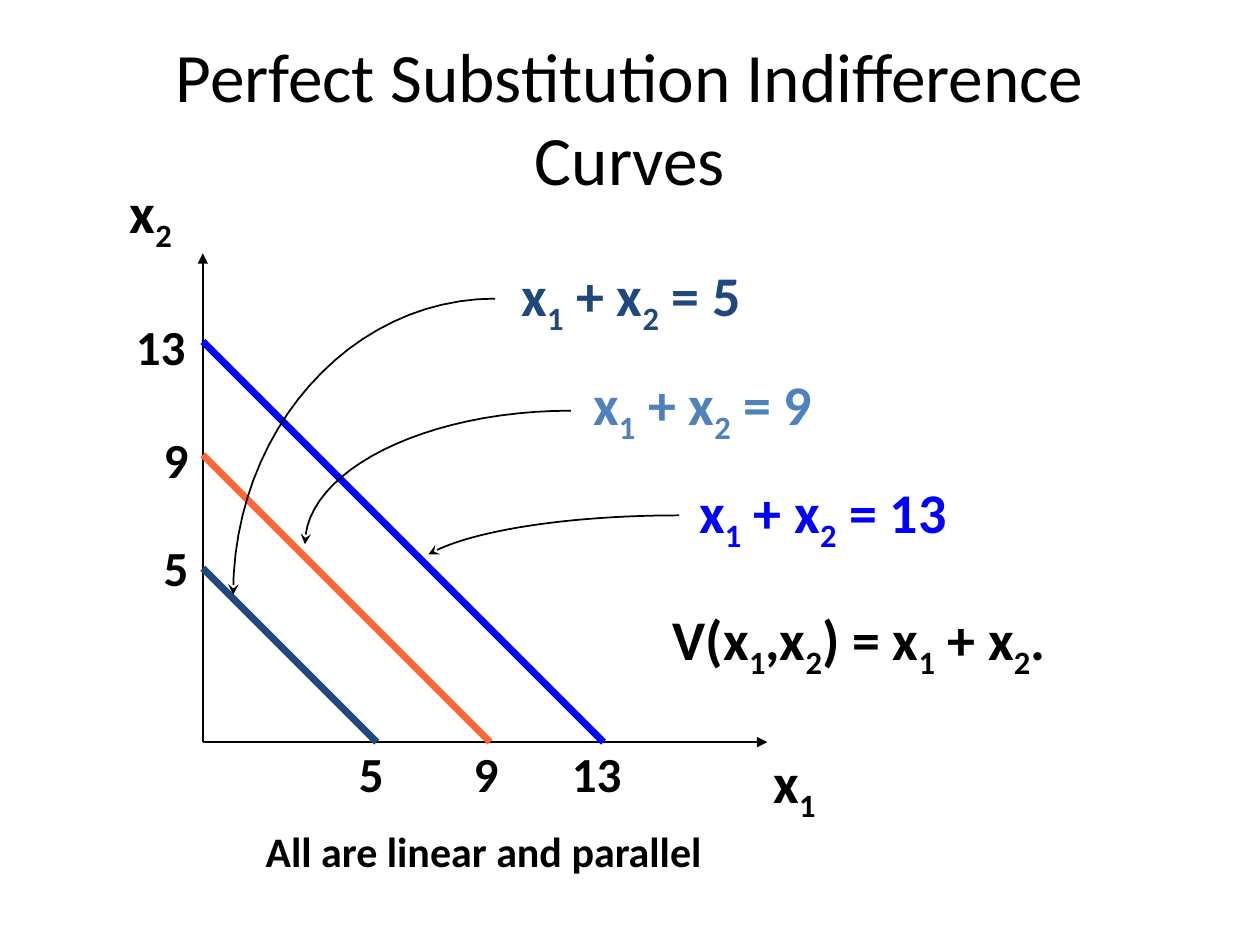
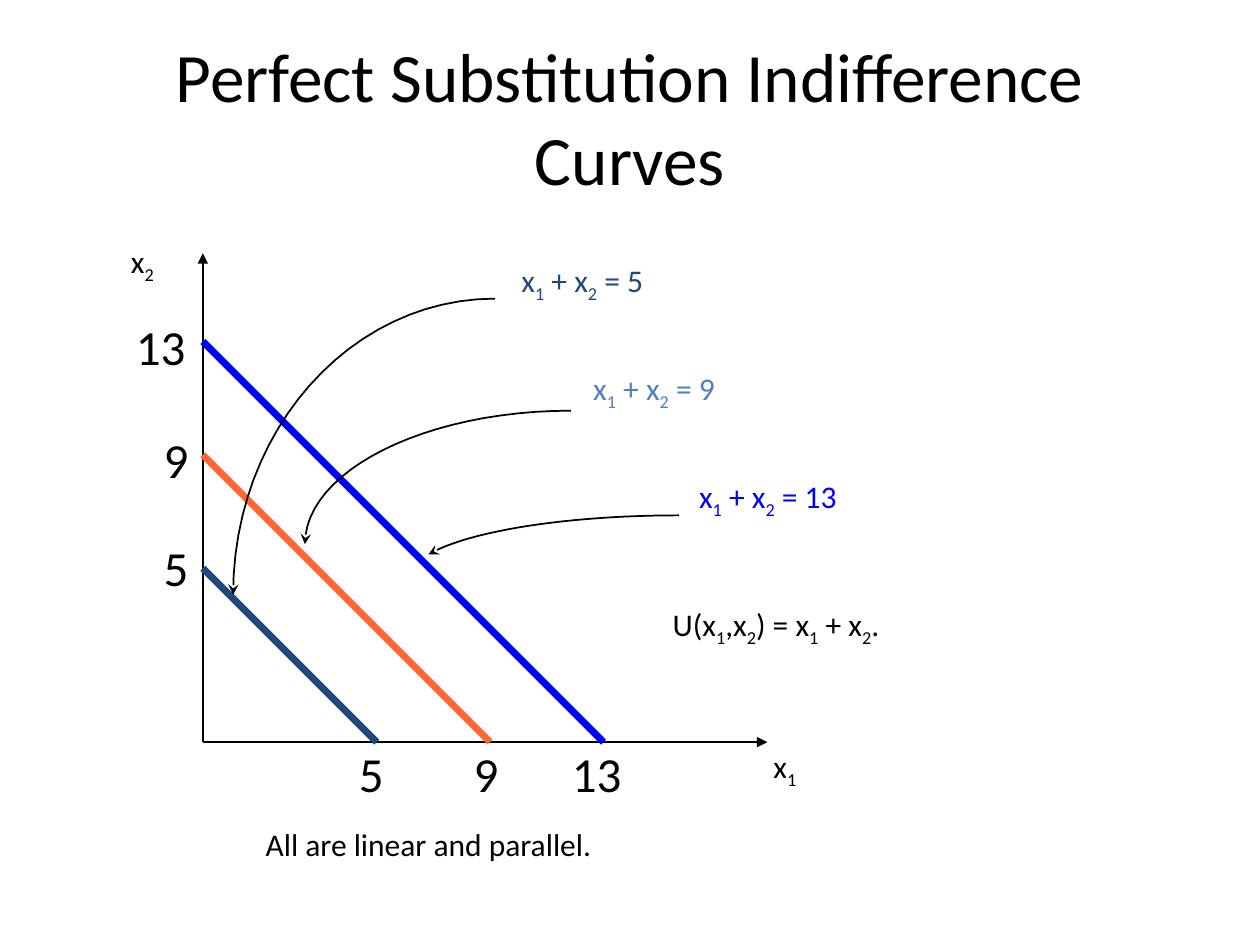
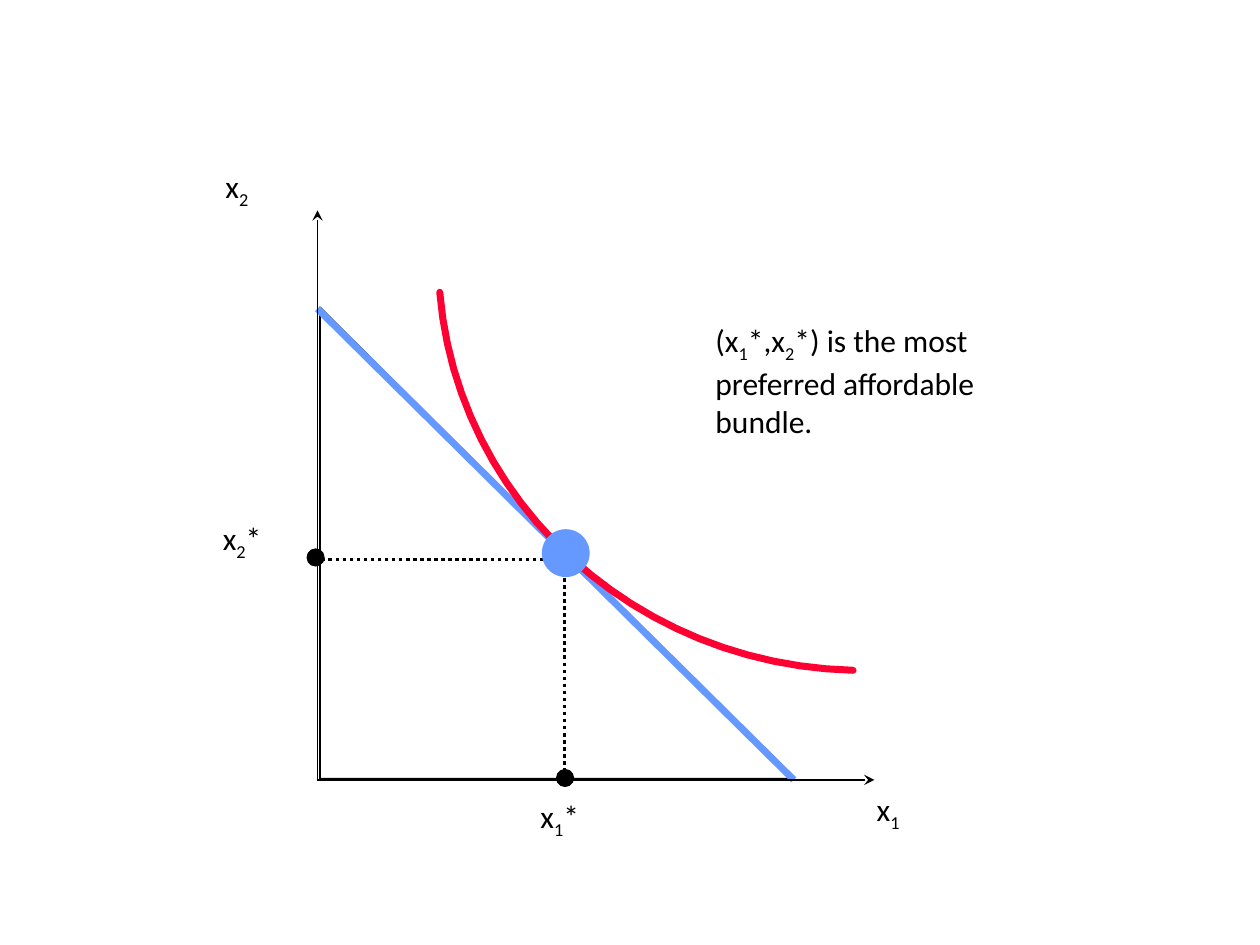
"""Build three slides on indifference curves and the preferred bundle."""
from dataclasses import dataclass
from typing import Any

import pptx
import pptx.dml.color
import pptx.enum.dml
import pptx.enum.shapes
import pptx.enum.text
import pptx.oxml
import pptx.oxml.ns
import pptx.util

Inches = pptx.util.Inches
Pt = pptx.util.Pt
Spot = tuple[float, float]

FONT = "Calibri"
BLACK, NAVY, STEEL, BLUE = "000000", "1F497D", "4F81BD", "0000FF"
ORANGE, SKY, RED = "FF6633", "6699FF", "FF0033"
TITLE = "Perfect Substitution Indifference Curves"
ROOT: Spot = (1.61, 5.89)
CORNER: Spot = (2.52, 6.19)
STEPS = 24


@dataclass(frozen=True)
class Label:
    """Text at a place, where an underscore lowers the next character."""
    text: str
    left: float
    top: float
    width: float
    height: float = 0.63
    size: float = 18
    color: str = BLACK
    bold: bool = False


@dataclass(frozen=True)
class Stroke:
    """Look of a line."""
    color: str = BLACK
    width: float = 1
    tip: str = ""
    dots: bool = False
    cap: str = "flat"


@dataclass(frozen=True)
class Level:
    """One indifference line with its tick labels, equation and pointer."""
    value: int
    color: str
    ink: str
    across: float
    up: Spot
    wide: float
    note: tuple[float, float, float]
    bend: tuple[Spot, Spot, Spot, Spot]


@dataclass(frozen=True)
class Style:
    """What differs between the two substitution slides."""
    size: float
    bold: bool
    letter: str
    x_two: Spot
    claim: str
    claim_size: float
    claim_box: Spot
    sum_box: Spot


@dataclass(frozen=True)
class Dot:
    """A filled circle."""
    left: float
    top: float
    width: float
    color: str
    edge: bool


LEVELS = (
    Level(5, NAVY, NAVY, 2.75, (1.2, 4.22), 0.42, (4.04, 2.02, 2.28),
          ((3.93, 2.37), (2.78, 2.37), (1.85, 3.42), (1.85, 4.72))),
    Level(9, ORANGE, STEEL, 3.66, (1.2, 3.36), 0.42, (4.61, 2.88, 2.28),
          ((4.53, 3.26), (3.37, 3.26), (2.42, 3.74), (2.42, 4.32))),
    Level(13, BLUE, BLUE, 4.44, (0.98, 2.46), 0.63, (5.45, 3.74, 2.53),
          ((5.39, 4.09), (4.52, 4.09), (3.73, 4.21), (3.4, 4.4))),
)
STYLES = (
    Style(32, True, "V", (0.93, 1.36), "All are linear and parallel", 24, (3.79, 0.51), (3.69, 0.63)),
    Style(18, False, "U", (0.94, 1.87), "All are linear and parallel.", 18, (5.58, 0.63), (1.91, 0.4)),
)
DOTS = (
    Dot(4.3, 4.2, 0.38, SKY, False),
    Dot(2.44, 4.36, 0.13, BLACK, True),
    Dot(4.42, 6.11, 0.13, BLACK, True),
)
NAMES = (
    Label("x_1", 6.86, 6.22, 0.61),
    Label("x_2", 1.69, 1.28, 0.61),
    Label("x_1*", 4.19, 6.28, 0.78),
    Label("x_2*", 1.67, 4.07, 0.78),
    Label("(x_1*,x_2*) is the most\npreferred affordable\nbundle.", 5.58, 2.5, 4.42, 1.7),
)


def assign(target: Any, values: dict[str, Any]) -> None:
    """Set each named attribute on the target."""
    for name, value in values.items():
        setattr(target, name, value)


def paint(fill: Any, color: str) -> None:
    """Fill with a solid hex colour."""
    fill.solid()
    fill.fore_color.rgb = pptx.dml.color.RGBColor.from_string(color)


def place(shape: Any, left: float, top: float, width: float, height: float) -> None:
    """Set a shape's box in inches."""
    assign(shape, {"left": Inches(left), "top": Inches(top),
                   "width": Inches(width), "height": Inches(height)})


def format_run(run: Any, size: float, color: str, bold: bool) -> None:
    """Apply the shared font with a size, colour and weight."""
    assign(run.font, {"name": FONT, "size": Pt(size), "bold": bold})
    paint(run.font.fill, color)


def write(slide: Any, label: Label) -> None:
    """Add a label with its lowered characters and line breaks."""
    box = slide.shapes.add_textbox(0, 0, 0, 0)
    place(box, label.left, label.top, label.width, label.height)
    assign(box.text_frame, {"word_wrap": False,
                            "auto_size": pptx.enum.text.MSO_AUTO_SIZE.SHAPE_TO_FIT_TEXT})
    para = box.text_frame.paragraphs[0]
    for row, line in enumerate(label.text.split("\n")):
        if row:
            para.add_line_break()
        head, *rest = line.split("_")
        parts = [(head, False)]
        for part in rest:
            parts += [(part[0], True), (part[1:], False)]
        for text, low in parts:
            if not text:
                continue
            run = para.add_run()
            run.text = text
            format_run(run, label.size, label.color, label.bold)
            if low:
                run.font._element.set("baseline", "-25000")


def trace(line: Any, stroke: Stroke) -> None:
    """Apply a stroke to a line format."""
    paint(line.fill, stroke.color)
    line.width = Pt(stroke.width)
    if stroke.dots:
        line.dash_style = pptx.enum.dml.MSO_LINE.ROUND_DOT
    node = line._get_or_add_ln()
    node.set("cap", stroke.cap)
    if stroke.tip:
        space = pptx.oxml.ns.nsdecls("a")
        node.append(pptx.oxml.parse_xml(f'<a:tailEnd {space} type="{stroke.tip}"/>'))


def join(slide: Any, start: Spot, end: Spot, stroke: Stroke) -> None:
    """Draw a straight line between two spots."""
    link = slide.shapes.add_connector(pptx.enum.shapes.MSO_CONNECTOR.STRAIGHT,
                                      *map(Inches, start + end))
    trace(link.line, stroke)
    space = pptx.oxml.ns.nsdecls("a")
    link._element.spPr.append(pptx.oxml.parse_xml(f"<a:effectLst {space}/>"))


def curve(slide: Any, bend: tuple[Spot, Spot, Spot, Spot], stroke: Stroke) -> None:
    """Draw a cubic curve from its four control spots."""
    spots = []
    for step in range(STEPS + 1):
        t = step / STEPS
        parts = ((1 - t) ** 3, 3 * t * (1 - t) ** 2, 3 * t * t * (1 - t), t ** 3)
        spots.append(tuple(Inches(sum(part * spot[axis] for part, spot in zip(parts, bend)))
                           for axis in (0, 1)))
    pen = slide.shapes.build_freeform(*spots[0])
    pen.add_line_segments(spots[1:], close=False)
    shape = pen.convert_to_shape()
    shape.shadow.inherit = False
    shape.fill.background()
    trace(shape.line, stroke)


def add_title(slide: Any) -> None:
    """Place and format the title."""
    title = slide.shapes.title
    place(title, 0.5, 0.3, 9, 1.25)
    title.text_frame.text = TITLE
    assign(title.text_frame, {"auto_size": pptx.enum.text.MSO_AUTO_SIZE.NONE,
                              "vertical_anchor": pptx.enum.text.MSO_ANCHOR.MIDDLE})
    para = title.text_frame.paragraphs[0]
    para.alignment = pptx.enum.text.PP_ALIGN.CENTER
    format_run(para.runs[0], 39.6, BLACK, False)


def draw_axes(slide: Any, root: Spot, top: float, right: float, tip: str) -> None:
    """Draw both axes from their root."""
    join(slide, root, (root[0], top), Stroke(tip=tip))
    join(slide, root, (right, root[1]), Stroke(tip=tip))


def draw_levels(deck: Any, style: Style) -> None:
    """Build a slide of parallel indifference lines."""
    slide = deck.slides.add_slide(deck.slide_layouts[5])
    add_title(slide)
    draw_axes(slide, ROOT, 2.01, 6.09, "triangle")
    for level in LEVELS:
        reach = 0.255 + 0.225 * level.value
        join(slide, (ROOT[0], ROOT[1] - reach), (ROOT[0] + reach, ROOT[1]), Stroke(level.color, 4))
    for level in LEVELS:
        for spot in ((level.across, 5.85), level.up):
            write(slide, Label(str(level.value), *spot, level.wide, 0.57, 28, bold=style.bold))
        write(slide, Label(f"x_1 + x_2 = {level.value}", *level.note, 0.63,
                           style.size, level.ink, style.bold))
        curve(slide, level.bend, Stroke(tip="stealth"))
    for text, spot, box, size in (
        ("x_1", (6.04, 5.88), (0.61, 0.63), style.size),
        ("x_2", style.x_two, (0.61, 0.63), style.size),
        (style.claim, (2.01, 6.5), style.claim_box, style.claim_size),
        (f"{style.letter}(x_1,x_2) = x_1 + x_2.", (5.24, 4.75), style.sum_box, style.size),
    ):
        write(slide, Label(text, *spot, *box, size, bold=style.bold))


def draw_choice(deck: Any) -> None:
    """Build the slide of the most preferred bundle."""
    slide = deck.slides.add_slide(deck.slide_layouts[6])
    kinds = pptx.enum.shapes.MSO_SHAPE
    budget = slide.shapes.add_shape(kinds.RIGHT_TRIANGLE, 0, 0, 0, 0)
    place(budget, 2.54, 2.44, 3.76, 3.74)
    budget.shadow.inherit = False
    budget.fill.background()
    trace(budget.line, Stroke())
    join(slide, (CORNER[0], 2.45), (6.3, CORNER[1]), Stroke(SKY, 4))
    curve(slide, ((6.77, 5.32), (5.05, 5.28), (3.63, 3.99), (3.49, 2.32)),
          Stroke(RED, 4, cap="rnd"))
    draw_axes(slide, CORNER, 1.67, 6.94, "stealth")
    dotted = Stroke(width=2, dots=True)
    join(slide, (4.48, 4.42), (4.48, CORNER[1]), dotted)
    join(slide, (4.48, 4.44), (2.54, 4.44), dotted)
    for dot in DOTS:
        shape = slide.shapes.add_shape(kinds.OVAL, 0, 0, 0, 0)
        place(shape, dot.left, dot.top, dot.width, dot.width)
        shape.shadow.inherit = False
        paint(shape.fill, dot.color)
        if dot.edge:
            trace(shape.line, Stroke(dot.color))
        else:
            shape.line.fill.background()
    for label in NAMES:
        write(slide, label)


def main() -> None:
    """Build and save the deck."""
    deck = pptx.Presentation()
    assign(deck, {"slide_width": Inches(10), "slide_height": Inches(7.5)})
    for style in STYLES:
        draw_levels(deck, style)
    draw_choice(deck)
    deck.save("out.pptx")


if __name__ == "__main__":
    main()
